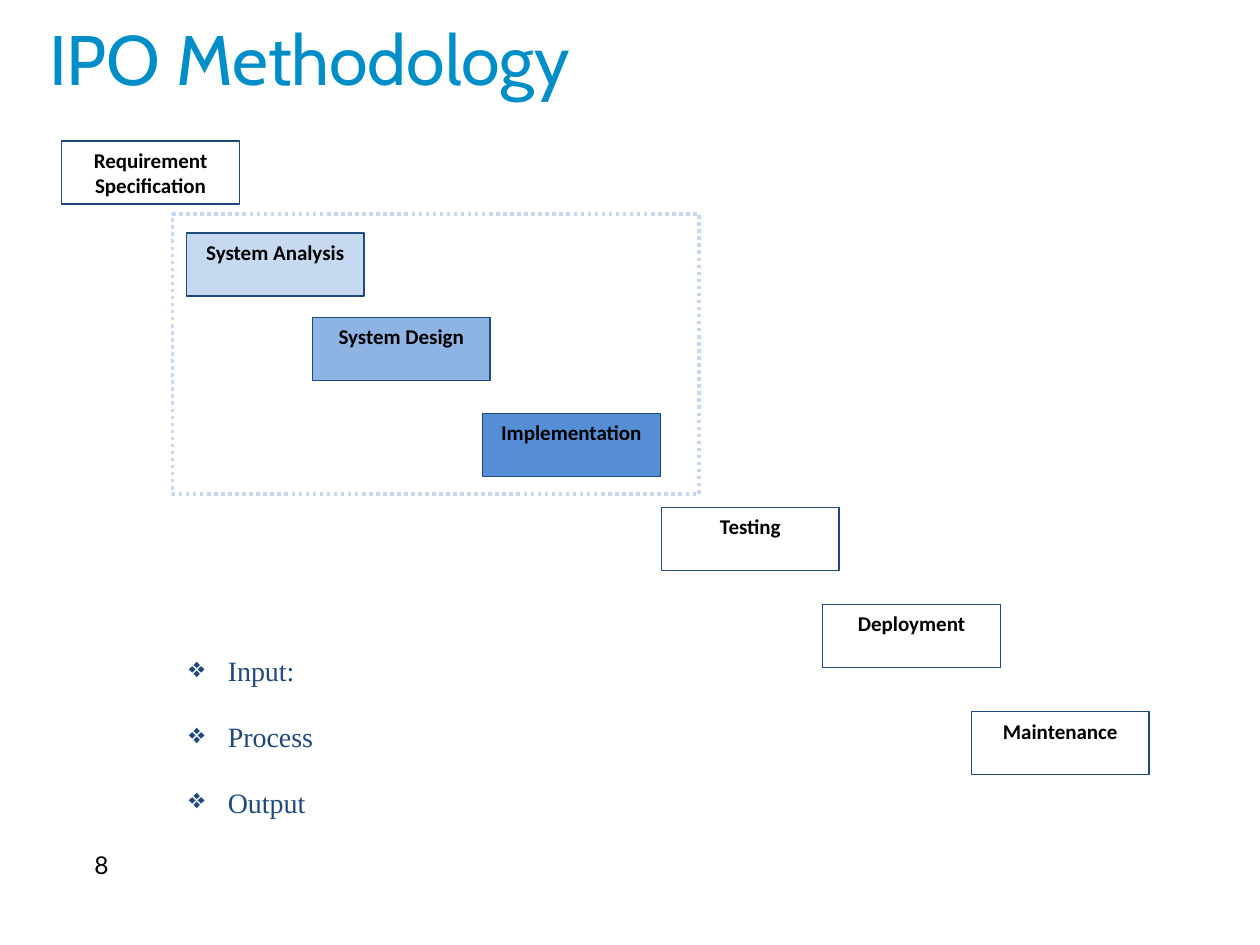
from lxml import etree
from pptx import Presentation
from pptx import util as u
from pptx.dml.color import RGBColor
from pptx.enum import dml, shapes, text
from pptx.oxml.ns import qn

COLUMNS, ROWS = 100, 75
WIDTH, HEIGHT = u.Inches(10), u.Inches(7.5)
NAVY, BLACK, SKY, PALE = "1F497D", "000000", "008EC8", "C6D9F1"
STAGE_SIZE = (14.1, 5)
STAGES = [
    ("Requirement Specification", 4.9, 11.2, None),
    ("System Analysis", 14.8, 18.5, PALE),
    ("System Design", 24.8, 25.2, "8EB4E3"),
    ("Implementation", 38.3, 32.8, "558ED5"),
    ("Testing", 52.5, 40.3, None),
    ("Deployment", 65.3, 48, None),
    ("Maintenance", 77.1, 56.5, None),
]
IPO_PARTS = ["Input:", "Process", "Output"]


def colour(hex_code):
    return RGBColor.from_string(hex_code)


def grid(column, row, columns, rows):
    return (round(WIDTH * column / COLUMNS), round(HEIGHT * row / ROWS),
            round(WIDTH * columns / COLUMNS), round(HEIGHT * rows / ROWS))


def add_run(paragraph, wording, size, font, hex_code, bold=False):
    run = paragraph.add_run()
    run.text = wording
    run.font.size = u.Pt(size)
    run.font.name = font
    run.font.bold = bold
    run.font.color.rgb = colour(hex_code)


def add_box(slide, place, fill, line, weight):
    box = slide.shapes.add_shape(shapes.MSO_SHAPE.RECTANGLE, *grid(*place))
    box.shadow.inherit = False
    if fill:
        box.fill.solid()
        box.fill.fore_color.rgb = colour(fill)
    else:
        box.fill.background()
    box.line.color.rgb = colour(line)
    box.line.width = u.Pt(weight)
    return box


def add_stage(slide, wording, column, row, fill):
    frame = add_box(slide, (column, row, *STAGE_SIZE), fill, NAVY, 0.75).text_frame
    frame.vertical_anchor = text.MSO_ANCHOR.TOP
    frame.paragraphs[0].alignment = text.PP_ALIGN.CENTER
    add_run(frame.paragraphs[0], wording, 12, "Calibri", BLACK, True)


def add_frame(slide, place):
    frame = slide.shapes.add_textbox(*grid(*place)).text_frame
    frame.word_wrap = True
    return frame


def add_label(slide, place, wording, size, font, hex_code):
    frame = add_frame(slide, place)
    frame.margin_left = frame.margin_right = 0
    frame.margin_top = frame.margin_bottom = 0
    add_run(frame.paragraphs[0], wording, size, font, hex_code)


def add_bullets(slide, place, entries):
    frame = add_frame(slide, place)
    indent = u.Inches(0.31)
    for index, entry in enumerate(entries):
        paragraph = frame.add_paragraph() if index else frame.paragraphs[0]
        paragraph.space_before = u.Pt(18.4 if index else 0)
        properties = paragraph._p.get_or_add_pPr()
        properties.set("marL", str(indent))
        properties.set("indent", str(-indent))
        etree.SubElement(properties, qn("a:buChar")).set("char", "❖")
        add_run(paragraph, entry, 16, "Times New Roman", NAVY)


def main():
    deck = Presentation()
    deck.slide_width, deck.slide_height = WIDTH, HEIGHT
    slide = deck.slides.add_slide(deck.slide_layouts[6])
    add_label(slide, (7.5, 67.5, 20, 2.4), "8", 14, "Lato", BLACK)
    ipo_scope = add_box(slide, (13.7, 17, 41.8, 22.2), "FFFFFF", PALE, 2)
    ipo_scope.line.dash_style = dml.MSO_LINE.ROUND_DOT
    add_label(slide, (3.9, 1.2, 88.6, 6.7), "IPO Methodology", 40, "Cabin", SKY)
    for stage in STAGES:
        add_stage(slide, *stage)
    add_bullets(slide, (14, 51.4, 39.3, 17.2), IPO_PARTS)
    deck.save("out.pptx")


if __name__ == "__main__":
    main()
